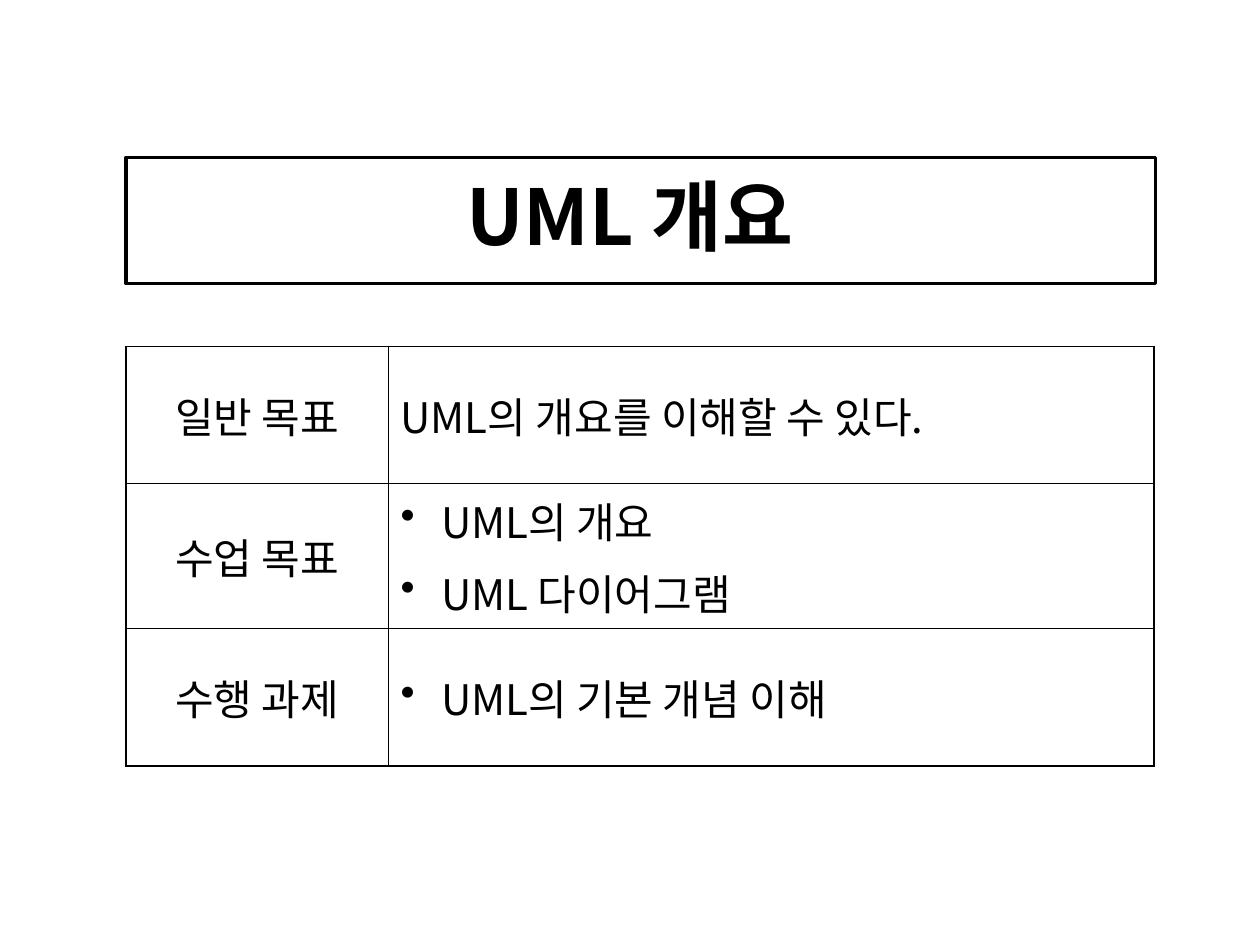
from lxml import etree
from pptx import Presentation
from pptx.dml.color import RGBColor
from pptx.enum.shapes import MSO_SHAPE
from pptx.enum.text import MSO_ANCHOR, PP_ALIGN
from pptx.oxml.ns import qn
from pptx.util import Inches, Pt

MIDDLE = MSO_ANCHOR.MIDDLE
LEFT, CENTER = PP_ALIGN.LEFT, PP_ALIGN.CENTER
RECTANGLE = MSO_SHAPE.RECTANGLE

COLORS = {"ink": "000000"}
FONT = "Noto Sans CJK KR"
OUTER_LINE, INNER_LINE = 1.08, 0.45
BULLET_INDENT = 0.32

COLUMN_WIDTHS = [2.08, 6.08]
ROW_HEIGHTS = [1.09, 1.15, 1.09]
# Label, lines of text, bulleted or not
GOALS = [
    ("일반 목표", ["UML의 개요를 이해할 수 있다."], False),
    ("수업 목표", ["UML의 개요", "UML 다이어그램"], True),
    ("수행 과제", ["UML의 기본 개념 이해"], True),
]


def color(name):
    return RGBColor.from_string(COLORS[name])


def format_paragraph(para, size, align, bold=False):
    para.alignment = align
    font = para.font
    font.size, font.bold = Pt(size), bold
    font.color.rgb = color("ink")
    font.name = FONT
    properties = para._p.pPr.find(qn("a:defRPr"))
    etree.SubElement(properties, qn("a:ea"), typeface=FONT)


def add_bullet(para):
    properties = para._p.pPr
    indent = Inches(BULLET_INDENT)
    properties.set("marL", str(indent))
    properties.set("indent", str(-indent))
    bullet = etree.Element(qn("a:buChar"), char="•")
    properties.find(qn("a:defRPr")).addprevious(bullet)


def set_borders(cell, widths):
    """Draw the cell's edges; widths maps L, R, T, B to points."""
    properties = cell._tc.get_or_add_tcPr()
    for side, width in widths.items():
        line = etree.SubElement(properties, qn(f"a:ln{side}"), w=str(Pt(width)))
        fill = etree.SubElement(line, qn("a:solidFill"))
        etree.SubElement(fill, qn("a:srgbClr"), val=COLORS["ink"])


def fill_cell(cell, lines, align, bulleted=False):
    cell.vertical_anchor = MIDDLE
    cell.margin_left = cell.margin_right = Inches(0.1)
    cell.margin_top = cell.margin_bottom = Inches(0.05)
    cell.text = "\n".join(lines)
    for para in cell.text_frame.paragraphs:
        format_paragraph(para, 24, align)
        para.space_before = Pt(6)
        if bulleted:
            add_bullet(para)


def add_title(page, text):
    title = page.shapes.title
    title.left, title.top = Inches(0.75), Inches(1.08)
    title.width, title.height = Inches(8.5), Inches(1.25)
    title.text_frame.text = text
    title.text_frame.vertical_anchor = MIDDLE
    format_paragraph(title.text_frame.paragraphs[0], 44, CENTER, bold=True)


def add_goal_table(page):
    rows, columns = len(ROW_HEIGHTS), len(COLUMN_WIDTHS)
    table = page.shapes.add_table(
        rows, columns, Inches(1), Inches(2.75),
        Inches(sum(COLUMN_WIDTHS)), Inches(sum(ROW_HEIGHTS))).table
    table.first_row = table.horz_banding = False
    for column, width in zip(table.columns, COLUMN_WIDTHS):
        column.width = Inches(width)
    for row, height in zip(table.rows, ROW_HEIGHTS):
        row.height = Inches(height)

    for r, (label, lines, bulleted) in enumerate(GOALS):
        fill_cell(table.cell(r, 0), [label], CENTER)
        fill_cell(table.cell(r, 1), lines, LEFT, bulleted)
        for c in range(columns):
            on_edge = {"L": c == 0, "R": c == columns - 1,
                       "T": r == 0, "B": r == rows - 1}
            cell = table.cell(r, c)
            set_borders(cell, {side: OUTER_LINE if outer else INNER_LINE
                               for side, outer in on_edge.items()})
            cell.fill.background()


def add_title_frame(page):
    frame = page.shapes.add_shape(
        RECTANGLE, Inches(1), Inches(1.25), Inches(8.17), Inches(1))
    frame.shadow.inherit = False
    frame.fill.background()
    frame.line.color.rgb = color("ink")
    frame.line.width = Pt(2)


def main():
    deck = Presentation()
    deck.slide_width, deck.slide_height = Inches(10), Inches(7.5)
    page = deck.slides.add_slide(deck.slide_layouts[5])  # title only

    add_title(page, "UML 개요")
    add_goal_table(page)
    add_title_frame(page)

    deck.save("out.pptx")


if __name__ == "__main__":
    main()
